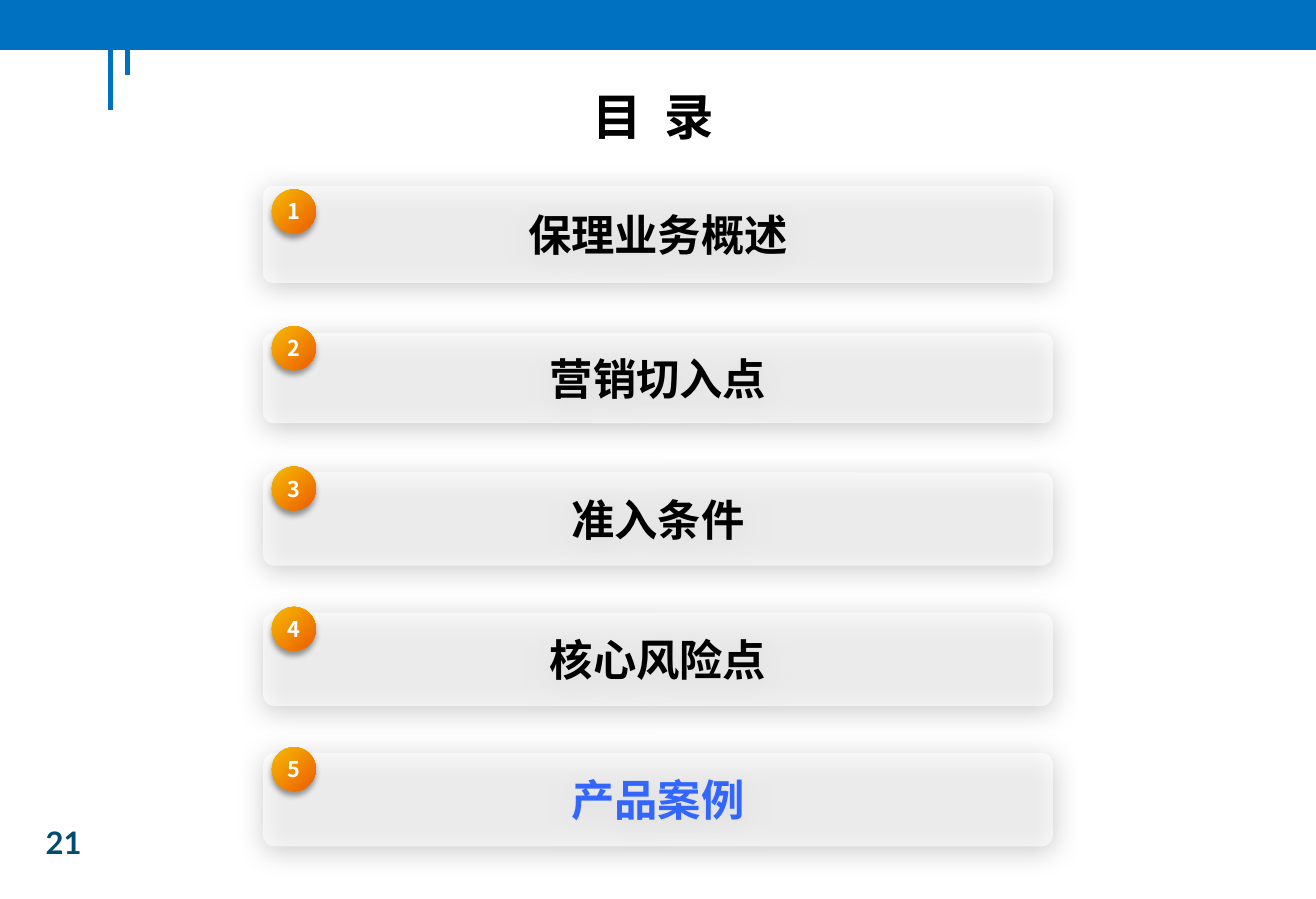
from pptx import Presentation
from pptx.dml.color import RGBColor as RGB
from pptx.enum.shapes import MSO_CONNECTOR as LINE, MSO_SHAPE as SHAPE
from pptx.enum.text import MSO_ANCHOR as ANCHOR, PP_ALIGN as ALIGN
from pptx.oxml.ns import qn
from pptx.util import Cm, Pt
from lxml.etree import SubElement as Sub

BLUE, BLACK, WHITE = "0070C0", "000000", "FFFFFF"
HAN = "Noto Sans CJK SC"


def tint(code):
    return RGB.from_string(code)


def apply(item, vals):
    for key, val in vals.items():
        setattr(item, key, val)


class Deck:
    """Holds the text style and the current slide."""
    base = dict(name=HAN, bold=True)

    def __init__(self, wide, high):
        self.prs = Presentation()
        apply(self.prs, dict(slide_width=Cm(wide), slide_height=Cm(high)))
        self.slide = self.prs.slides.add_slide(self.prs.slide_layouts[6])

    def label(self, shape, text, size, color, align=ALIGN.CENTER, gap=0, **form):
        frame = shape.text_frame
        apply(frame, dict(word_wrap=True, vertical_anchor=ANCHOR.MIDDLE))
        para = frame.paragraphs[0]
        para.alignment = align
        run = para.add_run()
        run.text = text
        font = run.font
        apply(font, {**self.base, "size": Pt(size), **form})
        font.color.rgb = tint(color)
        props = run._r.get_or_add_rPr()
        Sub(props, qn("a:ea"), typeface=font.name)
        if gap:
            props.set("spc", str(int(gap * 100)))

    def text(self, box, *args, **form):
        shape = self.slide.shapes.add_textbox(*map(Cm, box))
        self.label(shape, *args, **form)

    def shape(self, kind, box, fill=None):
        shape = self.slide.shapes.add_shape(kind, *map(Cm, box))
        shape.shadow.inherit = False
        shape.line.fill.background()
        if fill:
            shape.fill.solid()
            shape.fill.fore_color.rgb = tint(fill)
        return shape

    def shade(self, shape, alpha, blur, angle):
        glow = shape._element.spPr.find(qn("a:effectLst"))
        outer = Sub(glow, qn("a:outerShdw"), blurRad=str(Pt(blur)), dist=str(Pt(3)),
                    dir=str(angle * 60000), algn="ctr", rotWithShape="0")
        tone = Sub(outer, qn("a:srgbClr"), val=BLACK)
        Sub(tone, qn("a:alpha"), val=str(alpha * 1000))

    def line(self, left, top, end):
        line = self.slide.shapes.add_connector(
            LINE.STRAIGHT, *map(Cm, (left, top, left, end)))
        line.line.color.rgb = tint(BLUE)
        line.line.width = Pt(3)
        Sub(line._element.spPr, qn("a:effectLst"))

    def card(self, box, text, color, curve):
        card = self.shape(SHAPE.ROUNDED_RECTANGLE, box, WHITE)
        card.adjustments[0] = curve
        tone = next(card._element.spPr.iter(qn("a:srgbClr")))
        Sub(tone, qn("a:alpha"), val="60000")
        self.shade(card, 33, 17.8, 87)
        self.label(card, text, 28, color)

    def ball(self, box, text):
        ball = self.shape(SHAPE.OVAL, box)
        ball.fill.gradient()
        ball.fill.gradient_angle = 315
        stops = zip(ball.fill.gradient_stops, ("F6BB00", "ED6601"), (0, 0.9))
        for stop, color, spot in stops:
            stop.color.rgb = tint(color)
            stop.position = spot
        self.shade(ball, 40, 4, 90)
        sides = ("left", "right", "top", "bottom")
        apply(ball.text_frame, {f"margin_{side}": 0 for side in sides})
        self.label(ball, text, 14, WHITE, gap=0.5)


deck = Deck(30, 20.5)

# Header
for left, end in ((2.52, 2.5), (2.9, 1.72)):
    deck.line(left, 0.12, end)
deck.shape(SHAPE.RECTANGLE, (0, 0, 30, 1.14), BLUE)
deck.text((1.8, 1.85, 26.2, 1.56), "目 录", 32, BLACK, gap=3.5)

# Agenda: text, card top, card height, corner, ball top, colour
STEP = 3.2
rows = [("保理业务概述", 4.24, 2.21, 0.09, 4.32, BLACK),
        ("营销切入点", 7.59, 2.06, 0.1, 7.44, BLACK)]
for n, (text, color) in enumerate((("准入条件", BLACK), ("核心风险点", BLACK),
                                   ("产品案例", "3366FF"))):
    rows.append((text, 10.77 + n * STEP, 2.13, 0.12, 10.64 + n * STEP, color))
for n, (text, top, high, curve, spot, color) in enumerate(rows, 1):
    deck.card((6, top, 18, high), text, color, curve)
    deck.ball((6.2, spot, 1, 1), str(n))

# Page number
deck.text((0.79, 18.64, 1.8, 1.12), "21", 20, "004D6D", ALIGN.LEFT, name="Lato")

deck.prs.save("out.pptx")
